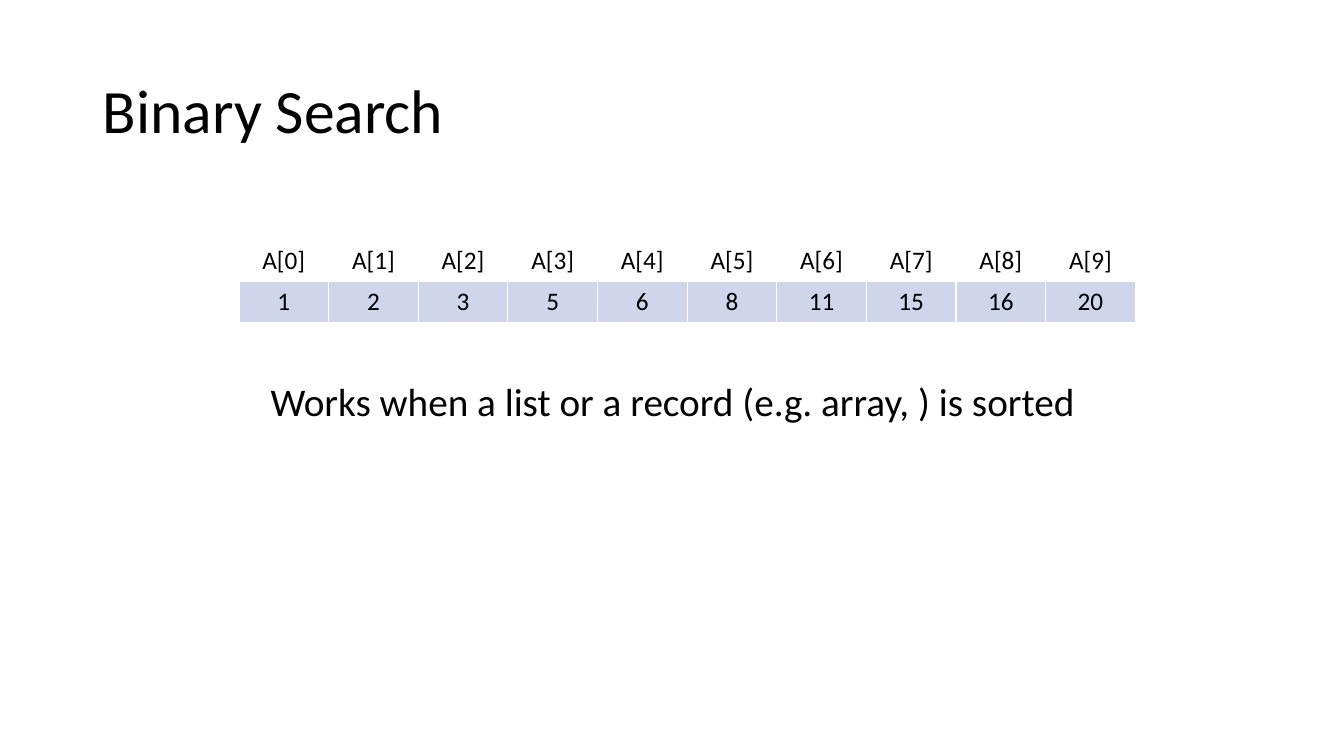
from pptx import Presentation
from pptx import util as u
from pptx.dml import color
from pptx.enum import text

HUES = {"ink": "000000", "cell": "CFD5EA"}
FONT = "Calibri"
VALUES = [1, 2, 3, 5, 6, 8, 11, 15, 16, 20]


def tint(name):
    return color.RGBColor.from_string(HUES[name])


def write(frame, words, size, align="CENTER", line=None, before=None):
    frame.word_wrap = True
    para = frame.paragraphs[0]
    para.alignment = getattr(text.PP_ALIGN, align)
    para.line_spacing = line
    if before:
        para.space_before = u.Pt(before)
    run = para.add_run()
    run.text = words
    font = run.font
    font.name = FONT
    font.size = u.Pt(size)
    font.bold = False
    font.color.rgb = tint("ink")


def add_title(slide, words):
    title = slide.shapes.title
    title.left, title.top = u.Inches(0.92), u.Inches(0.4)
    title.width, title.height = u.Inches(11.5), u.Inches(1.45)
    title.text_frame.vertical_anchor = text.MSO_ANCHOR.MIDDLE
    write(title.text_frame, words, 44, align="LEFT", line=0.9)


def add_note(slide, words):
    box = slide.shapes.add_textbox(
        u.Inches(0.92), u.Inches(3.75), u.Inches(11.5), u.Inches(3.01))
    write(box.text_frame, words, 28, line=0.9, before=10)


def add_array(slide, values):
    grid = slide.shapes.add_table(
        2, len(values), u.Inches(2.37), u.Inches(2.39),
        u.Inches(8.89), u.Inches(0.81)).table
    for col, value in enumerate(values):
        head, cell = grid.cell(0, col), grid.cell(1, col)
        head.fill.background()
        cell.fill.solid()
        cell.fill.fore_color.rgb = tint("cell")
        write(head.text_frame, f"A[{col}]", 18)
        write(cell.text_frame, str(value), 18)


def main():
    deck = Presentation()
    deck.slide_width, deck.slide_height = u.Inches(13.33), u.Inches(7.5)
    slide = deck.slides.add_slide(deck.slide_layouts[5])
    add_title(slide, "Binary Search")
    add_note(slide, "Works when a list or a record (e.g. array, ) is sorted")
    add_array(slide, VALUES)
    deck.save("out.pptx")


if __name__ == "__main__":
    main()
